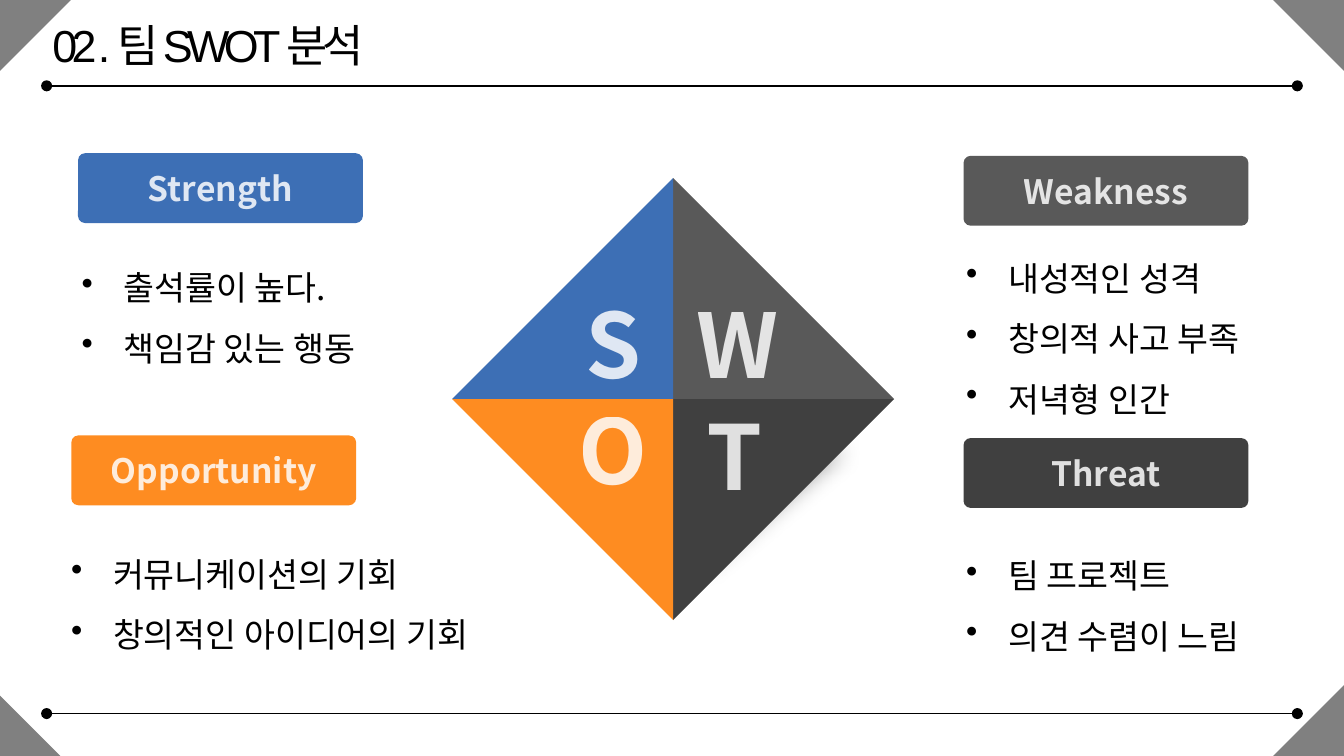
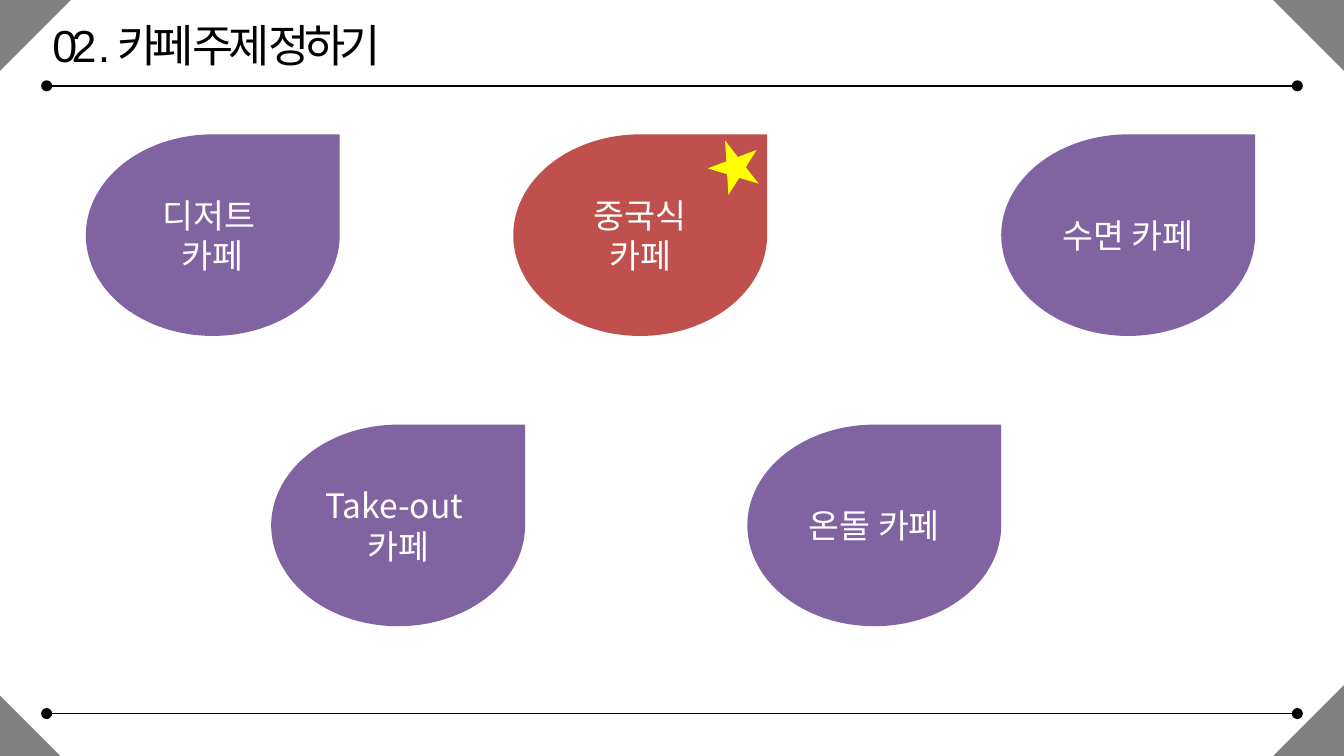
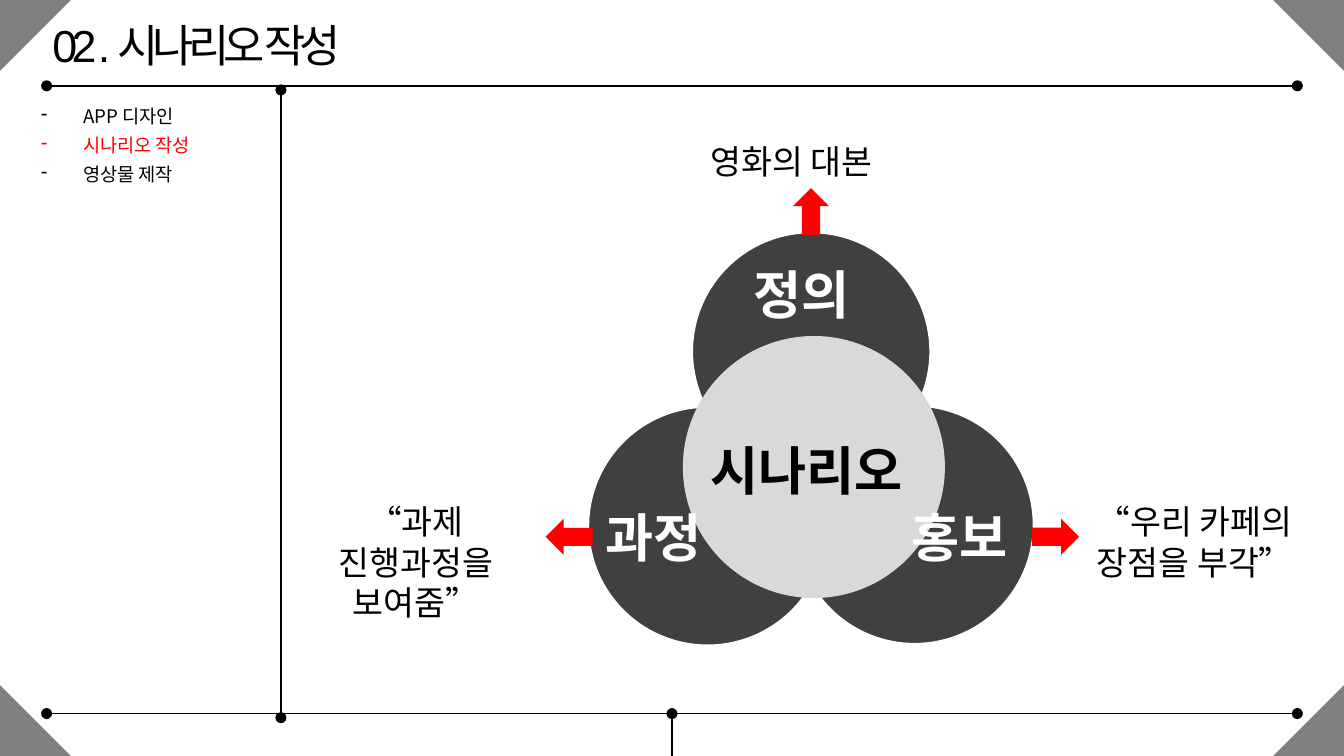
from dataclasses import dataclass

from lxml import etree
from pptx import Presentation
from pptx.dml.color import RGBColor
from pptx.enum.shapes import MSO_CONNECTOR, MSO_SHAPE
from pptx.enum.text import MSO_ANCHOR, MSO_AUTO_SIZE, PP_ALIGN
from pptx.oxml import parse_xml
from pptx.oxml.ns import nsdecls, qn
from pptx.util import Pt

STRAIGHT = MSO_CONNECTOR.STRAIGHT
TRIANGLE = MSO_SHAPE.RIGHT_TRIANGLE
ROUNDED = MSO_SHAPE.ROUNDED_RECTANGLE
TEARDROP = MSO_SHAPE.TEAR
STAR = MSO_SHAPE.STAR_5_POINT
ELLIPSE = MSO_SHAPE.OVAL
UP_ARROW = MSO_SHAPE.UP_ARROW
MIDDLE = MSO_ANCHOR.MIDDLE
GROW = MSO_AUTO_SIZE.SHAPE_TO_FIT_TEXT
LEFT, CENTER = PP_ALIGN.LEFT, PP_ALIGN.CENTER


@dataclass(frozen=True)
class Theme:
    black: str = "000000"
    white: str = "FFFFFF"
    corner: str = "808080"
    blue: str = "3D6FB5"
    gray: str = "595959"
    dark: str = "404040"
    pale: str = "D9D9D9"
    orange: str = "FE8C21"
    purple: str = "8064A2"
    brick: str = "C0504D"
    red: str = "FF0000"
    yellow: str = "FFFF00"
    title_font: str = "Arial"
    body_font: str = "Noto Sans CJK KR"
    title_size: float = 24
    letter_size: float = 48
    heading_size: float = 28
    body_size: float = 18
    menu_size: float = 10


THEME = Theme()
WIDTH, HEIGHT = 720, 405
MARGIN, HEADER_Y, FOOTER_Y = 25, 46, 382.3
CORNER_SIZE = 38

# Text formats
BODY = {"name": THEME.body_font, "size": Pt(THEME.body_size)}
BOLD_LABEL = {**BODY, "bold": True}
LETTER = {**BOLD_LABEL, "size": Pt(THEME.letter_size)}
HEADING = {**BOLD_LABEL, "size": Pt(THEME.heading_size)}
MENU = {**BODY, "size": Pt(THEME.menu_size)}
TITLE = {"name": THEME.title_font, "size": Pt(THEME.title_size)}


def points(values):
    return [Pt(value) for value in values]


def set_fade(properties):
    """Give text a white fill that is slightly see-through in the middle."""
    stops = "".join(
        f'<a:gs pos="{place}"><a:srgbClr val="{THEME.white}">'
        f'<a:alpha val="{alpha}"/></a:srgbClr></a:gs>'
        for place, alpha in ((0, 100000), (50000, 84000), (100000, 100000))
    )
    properties.insert(0, parse_xml(
        f'<a:gradFill {nsdecls("a")}><a:gsLst>{stops}</a:gsLst>'
        '<a:lin ang="5400000" scaled="0"/></a:gradFill>'
    ))


def write(frame, lines, style, color=THEME.black, align=LEFT,
          bullet=None, line_spacing=None, tracking=None):
    """Fill a text frame; a line is a string or a (string, color) pair.

    A color of None stands for the faded white."""
    for index, line in enumerate(lines):
        text, line_color = (line, color) if isinstance(line, str) else line
        para = frame.paragraphs[0] if index == 0 else frame.add_paragraph()
        para.alignment = align
        if line_spacing:
            para.line_spacing = line_spacing
        if bullet:
            settings = para._p.get_or_add_pPr()
            settings.set("marL", str(Pt(22.5)))
            settings.set("indent", str(-Pt(22.5)))
            etree.SubElement(settings, qn("a:buChar")).set("char", bullet)
        span = para.add_run()
        span.text = text
        for name, value in style.items():
            setattr(span.font, name, value)
        properties = span._r.get_or_add_rPr()
        etree.SubElement(properties, qn("a:ea")).set("typeface", THEME.body_font)
        if tracking:
            properties.set("spc", str(tracking * 100))
        if line_color:
            span.font.color.rgb = RGBColor.from_string(line_color)
        else:
            set_fade(properties)


def add_text(page, area, lines, style, wrap=True, **options):
    box = page.shapes.add_textbox(*points(area))
    frame = box.text_frame
    frame.word_wrap = wrap
    frame.auto_size = GROW
    write(frame, lines, style, **options)


def paint(shape, fill, outline=None):
    shape.shadow.inherit = False
    shape.fill.solid()
    shape.fill.fore_color.rgb = RGBColor.from_string(fill)
    if outline:
        shape.line.color.rgb = RGBColor.from_string(THEME.white)
        shape.line.width = Pt(outline)
    else:
        shape.line.fill.background()


def add_shape(page, kind, area, fill, rotation=0, outline=None):
    shape = page.shapes.add_shape(kind, *points(area))
    shape.rotation = rotation
    paint(shape, fill, outline)
    return shape


def add_label(page, kind, area, fill, lines, style, color):
    shape = add_shape(page, kind, area, fill)
    shape.text_frame.word_wrap = True
    shape.text_frame.vertical_anchor = MIDDLE
    write(shape.text_frame, lines, style, color=color, align=CENTER)
    return shape


def add_polygon(page, corners, fill):
    builder = page.shapes.build_freeform(*points(corners[0]), scale=1.0)
    builder.add_line_segments([points(corner) for corner in corners[1:]])
    shape = builder.convert_to_shape()
    paint(shape, fill)
    return shape


def add_rule(page, start, end, ends=("headEnd", "tailEnd")):
    rule = page.shapes.add_connector(STRAIGHT, *points(start + end))
    rule.line.color.rgb = RGBColor.from_string(THEME.black)
    rule.line.width = Pt(0.75)
    outline = rule.line._get_or_add_ln()
    for name in ends:
        etree.SubElement(outline, qn(f"a:{name}")).set("type", "oval")
    etree.SubElement(rule._element.spPr, qn("a:effectLst"))


def add_page(deck, title, title_width=254, lower_left=32.4, wrap=True):
    """Start a page with its title, rules and corner triangles."""
    page = deck.slides.add_slide(deck.slide_layouts[6])
    add_text(page, (21, 5.8, title_width, 36), [title], TITLE, wrap, tracking=-3)
    for y in (HEADER_Y, FOOTER_Y):
        add_rule(page, (MARGIN, y), (WIDTH - MARGIN, y))
    sizes = (lower_left, CORNER_SIZE, CORNER_SIZE, CORNER_SIZE)
    for turn, size in enumerate(sizes):  # clockwise from lower left
        left = 0 if turn < 2 else WIDTH - size
        top = 0 if turn in (1, 2) else HEIGHT - size
        add_shape(page, TRIANGLE, (left, top, size, size), THEME.corner, turn * 90)
    return page


def add_diamond(page):
    # Soft shadow behind the lower right side
    shadow = add_polygon(
        page, [(491, 231.8), (359.3, 342), (370, 220.3)], THEME.corner)
    color = shadow._element.spPr.find(f".//{qn('a:srgbClr')}")
    etree.SubElement(color, qn("a:alpha")).set("val", "75000")
    effects = shadow._element.spPr.find(qn("a:effectLst"))
    etree.SubElement(effects, qn("a:softEdge")).set("rad", str(Pt(12.5)))

    # Four quarters around the center
    x, y, reach = 360.6, 213.8, 118.4
    quarters = ((1, -1, THEME.gray), (-1, -1, THEME.blue),
                (1, 1, THEME.dark), (-1, 1, THEME.orange))
    for across, down, fill in quarters:
        add_polygon(
            page, [(x, y), (x + across * reach, y), (x, y + down * reach)], fill)

    letters = (("S", 306.7, 151.2, 41.8), ("W", 363.6, 151.2, 63.4),
               ("O", 302.4, 208.1, 51.8), ("T", 371.5, 211, 42.5))
    for letter, left, top, width in letters:
        add_text(page, (left, top, width, 65.5), [letter], LETTER, False,
                 color=None, align=CENTER)


def build_swot(deck):
    page = add_page(deck, "02 . 팀 SWOT 분석")
    add_diamond(page)

    # Name, fill, label corner, list area, list lines
    topics = (
        ("Strength", THEME.blue, (41.8, 82.1), (36.7, 128.9, 182.2, 68.4),
         ["출석률이 높다.", "책임감 있는 행동"]),
        ("Weakness", THEME.gray, (516.2, 83.5), (510.5, 123.8, 182.2, 101.5),
         ["내성적인 성격", "창의적 사고 부족", "저녁형 인간"]),
        ("Opportunity", THEME.orange, (38.2, 233.3), (31, 282.2, 252, 68.4),
         ["커뮤니케이션의 기회", "창의적인 아이디어의 기회"]),
        ("Threat", THEME.dark, (516.2, 234.7), (510.5, 283, 203.8, 68.4),
         ["팀 프로젝트", "의견 수렴이 느림"]),
    )
    for name, fill, corner, area, lines in topics:
        add_text(page, area, lines, BODY, bullet="•", line_spacing=1.5)
        label = add_label(page, ROUNDED, corner + (152.6, 37.4), fill,
                          [name], BOLD_LABEL, None)
        label.adjustments[0] = 0.1


def build_cafe_topics(deck):
    page = add_page(deck, "02 . 카페 주제 정하기")
    upper, lower = 72, 227.5
    cafes = (
        (275, upper, THEME.brick, ["중국식", "카페"]),
        (46, upper, THEME.purple, ["디저트 ", "카페"]),
        (536.4, upper, THEME.purple, ["수면 카페"]),
        (400.4, lower, THEME.purple, ["온돌 카페"]),
        (145.3, lower, THEME.purple, ["Take-out ", "카페"]),
    )
    for left, top, fill, lines in cafes:
        add_label(page, TEARDROP, (left, top, 136, 108), fill,
                  lines, BODY, THEME.white)
    add_shape(page, STAR, (379.4, 74.4, 28, 28), THEME.yellow, 339.3)


def build_scenario(deck):
    page = add_page(deck, "02 . 시나리오 작성", 181.4, CORNER_SIZE, wrap=False)
    add_rule(page, (WIDTH / 2, HEIGHT), (WIDTH / 2, FOOTER_Y), ("tailEnd",))

    # Side menu
    menu = ["APP 디자인", ("시나리오 작성", THEME.red), "영상물 제작"]
    add_text(page, (15, 49, 190.8, 54.7), menu, MENU,
             bullet="-", line_spacing=1.3)
    add_rule(page, (150.5, 48.2), (150.5, 384.5))

    # Circles, back to front
    circles = (
        (470.2, 198.7, 40.3, THEME.white, None),
        (424.8, 216, 130.3, THEME.dark, 3.75),
        (369.4, 123.1, 130.3, THEME.dark, 3.75),
        (313.9, 216.7, 130.3, THEME.dark, 3.5),
        (365.8, 180, 140.4, THEME.pale, None),
    )
    for left, top, size, fill, outline in circles:
        add_shape(page, ELLIPSE, (left, top, size, size), fill, outline=outline)

    headings = (
        ("정의", 396.7, 136.8, 73.4, THEME.white),
        ("과정", 317.5, 267.1, 73.4, THEME.white),
        ("홍보", 481, 267.1, 73.4, THEME.white),
        ("시나리오", 373.7, 231.1, 153.4, THEME.black),
    )
    for text, left, top, width, color in headings:
        add_text(page, (left, top, width, 41), [text], HEADING, color=color)

    # Arrows and the notes they lead to
    for left, top, rotation in ((424.8, 100.8, 0), (555.8, 275, 90), (295.2, 275, 270)):
        add_shape(page, UP_ARROW, (left, top, 19.4, 25.2), THEME.red, rotation)
    notes = (
        ("영화의 대본", (373.7, 72, 120.2, 28.8), LEFT),
        ("“우리 카페의 장점을 부각”", (580.3, 265, 119.5, 51.1), CENTER),
        ("“과제 진행과정을 보여줌”", (150.5, 265, 144.7, 51.1), CENTER),
    )
    for text, area, align in notes:
        add_text(page, area, [text], BODY, align=align)


def main():
    deck = Presentation()
    deck.slide_width, deck.slide_height = Pt(WIDTH), Pt(HEIGHT)
    build_swot(deck)
    build_cafe_topics(deck)
    build_scenario(deck)
    deck.save("out.pptx")


if __name__ == "__main__":
    main()
